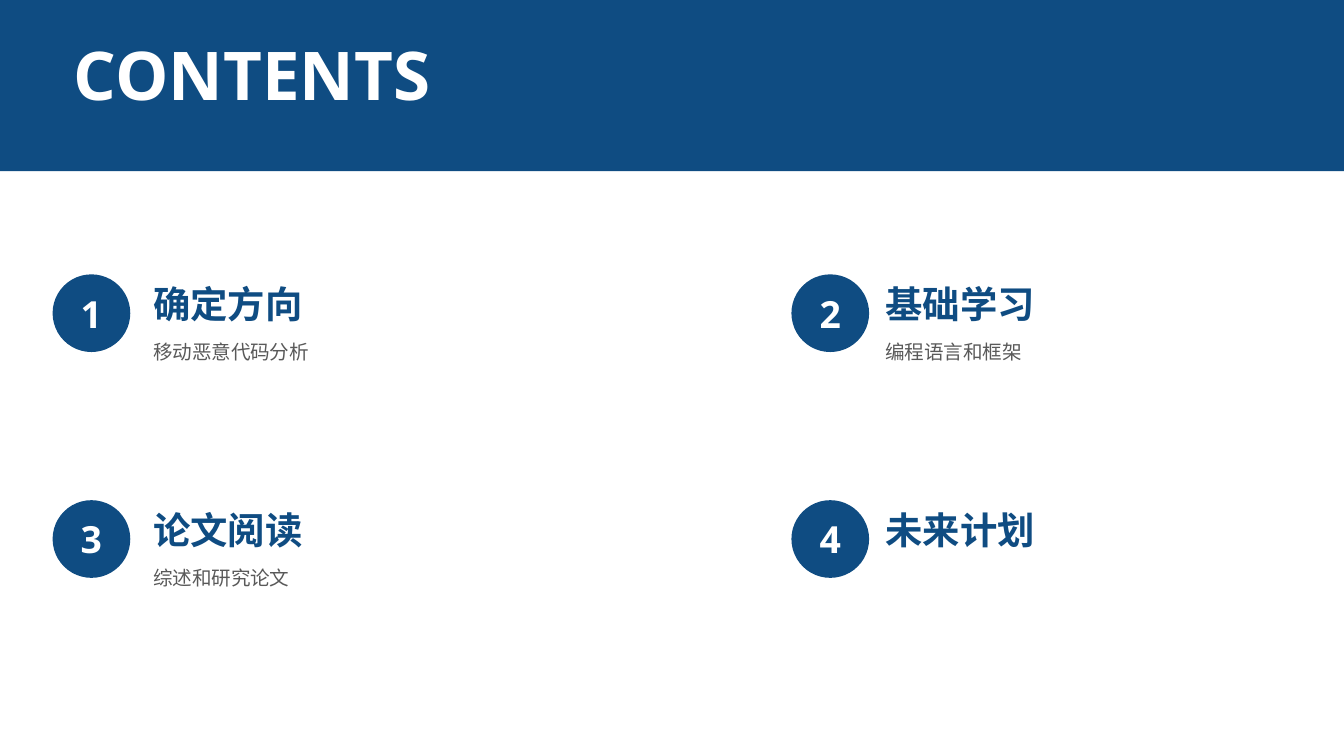
from dataclasses import dataclass

import pptx
import pptx.dml.color
import pptx.enum.shapes
import pptx.enum.text
import pptx.oxml.ns
import pptx.util
from lxml import etree

Pt = pptx.util.Pt
ALIGN = pptx.enum.text.PP_ALIGN
ANCHOR = pptx.enum.text.MSO_ANCHOR
SHAPES = pptx.enum.shapes.MSO_SHAPE

COLORS = {"blue": "0F4C82", "white": "FFFFFF", "gray": "595959"}
FONT = "Open Sans"
CIRCLE_X = (28.2, 424)
TEXT_X = (75, 467.3)
ROW_Y = (147, 268)
CIRCLE_SIZE = 41.6
HEADING_HEIGHT = 31.7


@dataclass
class Entry:
    heading: str
    detail: str = ""
    detail_width: float = 0


ENTRIES = [
    Entry("确定方向", "移动恶意代码分析", 98.6),
    Entry("基础学习", "编程语言和框架", 87.8),
    Entry("论文阅读", "综述和研究论文", 87.8),
    Entry("未来计划"),
]


def rgb(name: str) -> pptx.dml.color.RGBColor:
    return pptx.dml.color.RGBColor.from_string(COLORS[name])


def write_text(sp, text: str, size: float, color: str, bold: bool = True,
               align=ALIGN.LEFT, **frame_format) -> None:
    tf = sp.text_frame
    for name, value in frame_format.items():
        setattr(tf, name, value)
    p = tf.paragraphs[0]
    p.alignment = align
    r = p.add_run()
    r.text = text
    for name, value in {"name": FONT, "size": Pt(size), "bold": bold}.items():
        setattr(r.font, name, value)
    r.font.color.rgb = rgb(color)
    # East Asian glyphs follow the same font
    ea = etree.SubElement(r.font._element, pptx.oxml.ns.qn("a:ea"))
    ea.set("typeface", FONT)


LABEL = {
    "word_wrap": False,
    "auto_size": pptx.enum.text.MSO_AUTO_SIZE.SHAPE_TO_FIT_TEXT,
    "vertical_anchor": ANCHOR.TOP,
}


def add_filled(s, kind, x: float, y: float, w: float, h: float):
    sp = s.shapes.add_shape(kind, Pt(x), Pt(y), Pt(w), Pt(h))
    sp.shadow.inherit = False
    sp.fill.solid()
    sp.fill.fore_color.rgb = rgb("blue")
    sp.line.fill.background()
    return sp


def add_label(s, x: float, y: float, w: float, h: float, text: str,
              size: float, color: str, bold: bool) -> None:
    sp = s.shapes.add_textbox(Pt(x), Pt(y), Pt(w), Pt(h))
    write_text(sp, text, size, color, bold, **LABEL)


def add_entry(s, index: int, entry: Entry) -> None:
    row, col = divmod(index, 2)
    x, y = TEXT_X[col], ROW_Y[row]
    circle = add_filled(s, SHAPES.OVAL, CIRCLE_X[col], y, CIRCLE_SIZE, CIRCLE_SIZE)
    write_text(circle, str(index + 1), 20, "white", align=ALIGN.CENTER,
               word_wrap=False, vertical_anchor=ANCHOR.MIDDLE,
               margin_left=0, margin_right=0, margin_top=0, margin_bottom=0)
    add_label(s, x, y, 95, HEADING_HEIGHT, entry.heading, 20, "blue", True)
    if entry.detail:
        add_label(s, x, y + HEADING_HEIGHT, entry.detail_width, 20.2,
                  entry.detail, 10.5, "gray", False)


def main() -> None:
    prs = pptx.Presentation()
    prs.slide_width, prs.slide_height = Pt(720), Pt(405)
    s = prs.slides.add_slide(prs.slide_layouts[5])

    # Header band, placed behind the title
    band = add_filled(s, SHAPES.RECTANGLE, 0, -0.5, 720, 92.2)
    title = s.shapes.title
    title._element.addprevious(band._element)

    # Title
    box = {"left": 32.4, "top": 14.4, "width": 206, "height": 51}
    for name, value in box.items():
        setattr(title, name, Pt(value))
    write_text(title, "CONTENTS", 36, "white", **LABEL)

    # Numbered entries in two columns
    for index, entry in enumerate(ENTRIES):
        add_entry(s, index, entry)

    prs.save("out.pptx")


if __name__ == "__main__":
    main()
